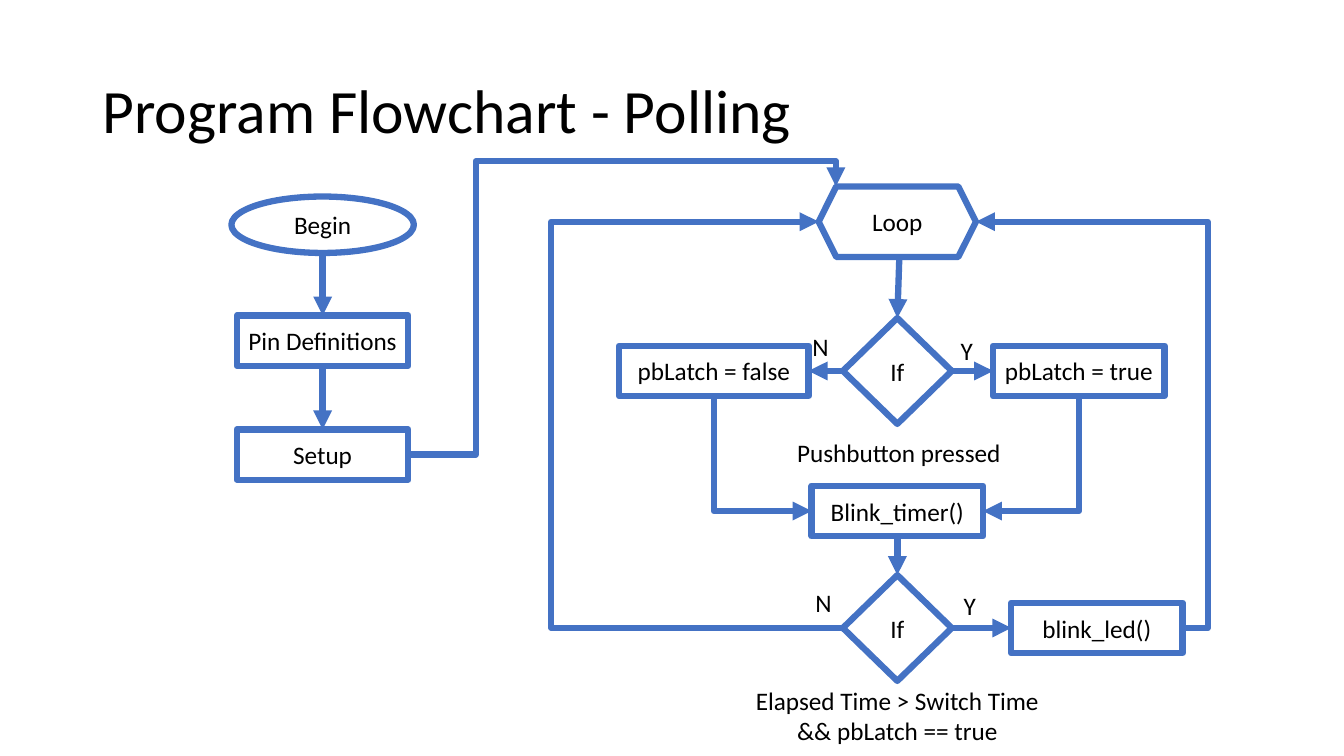
from lxml import etree
from pptx import Presentation
from pptx.dml.color import RGBColor
from pptx.enum.shapes import MSO_CONNECTOR as Link, MSO_SHAPE as Shape
from pptx.enum.text import MSO_ANCHOR as Anchor, PP_ALIGN as Align
from pptx.oxml.ns import qn
from pptx.util import Inches, Pt

BLUE, WHITE, BLACK = "4472C4", "FFFFFF", "000000"
FONT = "Calibri"
LINE_WIDTH = 4.5
SETUP_X, LOOP_X = 3.2, 8.9  # centres of the two columns


def color(value):
    return RGBColor.from_string(value)


def write(frame, text, size=18, align=Align.CENTER):
    frame.text = text
    for para in frame.paragraphs:
        para.alignment = align
        for span in para.runs:
            span.font.name = FONT
            span.font.size = Pt(size)
            span.font.color.rgb = color(BLACK)


def add_node(page, kind, text, center_x, center_y, width=1.7, height=0.5):
    """Draw an outlined step and return its four side points."""
    left, top = center_x - width / 2, center_y - height / 2
    node = page.shapes.add_shape(kind, Inches(left), Inches(top),
                                 Inches(width), Inches(height))
    node.shadow.inherit = False
    node.fill.solid()
    node.fill.fore_color.rgb = color(WHITE)
    node.line.color.rgb = color(BLUE)
    node.line.width = Pt(LINE_WIDTH)
    node.text_frame.vertical_anchor = Anchor.MIDDLE
    write(node.text_frame, text)
    return {"top": (center_x, top), "bottom": (center_x, top + height),
            "left": (left, center_y), "right": (left + width, center_y)}


def add_label(page, text, left, top, width, height=0.4, align=Align.LEFT):
    box = page.shapes.add_textbox(Inches(left), Inches(top),
                                  Inches(width), Inches(height))
    box.text_frame.word_wrap = False
    write(box.text_frame, text, align=align)


def add_title(page, text):
    box = page.shapes.add_textbox(Inches(0.92), Inches(0.4),
                                  Inches(11.5), Inches(1.45))
    box.text_frame.word_wrap = True
    box.text_frame.vertical_anchor = Anchor.MIDDLE
    write(box.text_frame, text, size=44, align=Align.LEFT)
    box.text_frame.paragraphs[0].line_spacing = 0.9


def add_arrow(page, start, end, kind=Link.STRAIGHT):
    arrow = page.shapes.add_connector(kind, *map(Inches, (*start, *end)))
    arrow.line.color.rgb = color(BLUE)
    arrow.line.width = Pt(LINE_WIDTH)
    etree.SubElement(arrow.line._ln, qn("a:tailEnd"), type="triangle")
    etree.SubElement(arrow._element.spPr, qn("a:effectLst"))
    return arrow


def set_bends(arrow, preset, *ratios):
    geometry = arrow._element.spPr.find(qn("a:prstGeom"))
    geometry.set("prst", preset)
    guides = geometry.find(qn("a:avLst"))
    for number, ratio in enumerate(ratios, start=1):
        etree.SubElement(guides, qn("a:gd"), name=f"adj{number}",
                         fmla=f"val {round(ratio * 100000)}")


def add_detour(page, start, end, via_x, via_y=None):
    """Leave sideways to via_x; with via_y, also enter the end from there."""
    ratios = [(via_x - start[0]) / (end[0] - start[0])]
    if via_y is not None:
        ratios.append((via_y - start[1]) / (end[1] - start[1]))
    arrow = add_arrow(page, start, end, Link.ELBOW)
    set_bends(arrow, f"bentConnector{len(ratios) + 2}", *ratios)


def add_corner(page, start, end):
    """Go down, then sideways: a quarter turn of the sideways-first bend."""
    middle_x, middle_y = (start[0] + end[0]) / 2, (start[1] + end[1]) / 2
    turn = 1 if end[0] < start[0] else -1
    half_width = turn * (end[1] - start[1]) / 2
    half_height = abs(end[0] - start[0]) / 2
    arrow = add_arrow(page, (middle_x - half_width, middle_y - half_height),
                      (middle_x + half_width, middle_y + half_height), Link.ELBOW)
    set_bends(arrow, "bentConnector2")
    transform = arrow._element.spPr.find(qn("a:xfrm"))
    transform.set("rot", str(turn * 90 % 360 * 60000))


def main():
    deck = Presentation()
    deck.slide_width, deck.slide_height = Inches(13.33), Inches(7.5)
    page = deck.slides.add_slide(deck.slide_layouts[6])
    add_title(page, "Program Flowchart - Polling")

    # Start-up column
    begin = add_node(page, Shape.OVAL, "Begin", SETUP_X, 2.23, 1.81, 0.56)
    pins = add_node(page, Shape.RECTANGLE, "Pin Definitions", SETUP_X, 3.38)
    setup = add_node(page, Shape.RECTANGLE, "Setup", SETUP_X, 4.51)

    # Loop steps
    loop = add_node(page, Shape.HEXAGON, "Loop", LOOP_X, 2.2, 1.56, 0.7)
    pressed = add_node(page, Shape.DIAMOND, "If", LOOP_X, 3.68, 1.08, 1.05)
    latch_off = add_node(page, Shape.RECTANGLE, "pbLatch = false", 7.08, 3.68, 1.88)
    latch_on = add_node(page, Shape.RECTANGLE, "pbLatch = true", 10.7, 3.68)
    timer = add_node(page, Shape.RECTANGLE, "Blink_timer()", LOOP_X, 5.07)
    elapsed = add_node(page, Shape.DIAMOND, "If", LOOP_X, 6.23, 1.08, 1.05)
    blink = add_node(page, Shape.RECTANGLE, "blink_led()", 10.88, 6.23)

    # Straight arrows
    for start, end in (
        (begin["bottom"], pins["top"]),
        (pins["bottom"], setup["top"]),
        ((8.92, 2.55), pressed["top"]),
        (pressed["left"], latch_off["right"]),
        (pressed["right"], latch_on["left"]),
        (timer["bottom"], elapsed["top"]),
        (elapsed["right"], blink["left"]),
    ):
        add_arrow(page, start, end)

    # Bent arrows: into the loop, back to the loop, and on to the timer
    add_detour(page, setup["right"], (8.29, 1.85), via_x=4.72, via_y=1.6)
    add_detour(page, elapsed["left"], loop["left"], via_x=5.47)
    add_detour(page, blink["right"], loop["right"], via_x=11.98)
    add_corner(page, latch_off["bottom"], timer["left"])
    add_corner(page, latch_on["bottom"], timer["right"])

    # Conditions and branch labels
    add_label(page, "Pushbutton pressed", 7.79, 4.29, 2.25, align=Align.CENTER)
    add_label(page, "Elapsed Time > Switch Time\n&& pbLatch == true",
              7.38, 6.75, 3.04, 0.71, Align.CENTER)
    add_label(page, "N", 7.96, 3.24, 0.36)
    add_label(page, "Y", 9.43, 3.28, 0.32)
    add_label(page, "N", 7.99, 5.78, 0.36)
    add_label(page, "Y", 9.46, 5.81, 0.32)

    deck.save("out.pptx")


if __name__ == "__main__":
    main()
